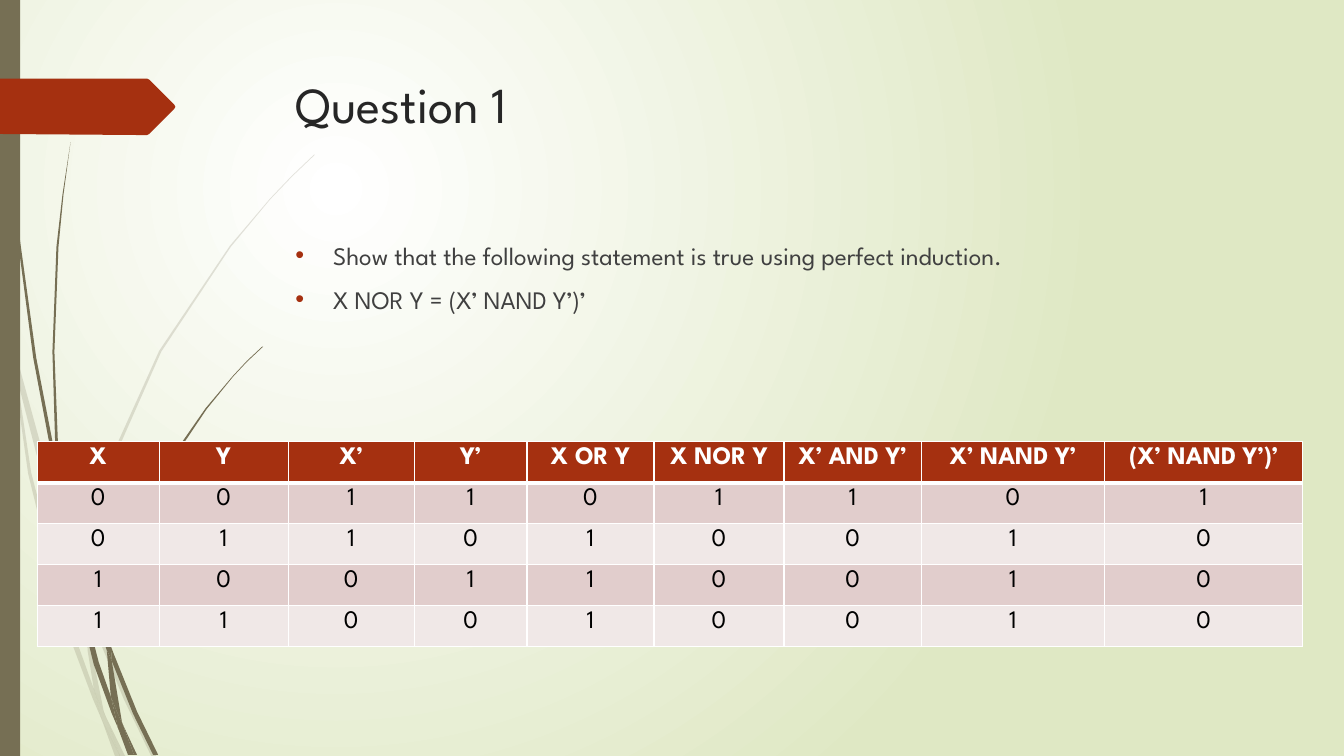
from dataclasses import dataclass
from itertools import product

from lxml.etree import SubElement
from pptx import Presentation
from pptx.dml.color import RGBColor as Rgb
from pptx.enum.shapes import MSO_SHAPE as Preset
from pptx.enum.text import PP_ALIGN as Align
from pptx.oxml.ns import qn
from pptx.util import Pt


@dataclass(frozen=True)
class Theme:
    font: str = "League Spartan"
    title_size: int = 36
    text_size: int = 18
    white: str = "FFFFFF"
    black: str = "000000"
    leaf: str = "DFE8C4"
    stem: str = "766F54"
    accent: str = "A53010"
    title: str = "262626"
    body: str = "404040"
    bands: tuple = ("E1CDCC", "F0E8E7")


THEME = Theme()
OUTLINE_UNIT = Pt(0.72)  # outlines are drawn on a grid of 1/100 inch

PALE_GRASS = [
    [(11, 350), (9, 322), (0, 282), (0, 299), (10, 344)],
    [(58, 522), (84, 599), (85, 586), (62, 520), (14, 345), (17, 376), (36, 450)],
    [(92, 607), (88, 596), (88, 610), (123, 694), (150, 750), (155, 750), (127, 692)],
    [(119, 750), (124, 750), (105, 711)],
    [(93, 683), (70, 619), (31, 469), (17, 376), (11, 350), (28, 470), (65, 621),
     (92, 693), (101, 714), (99, 707)],
    [(84, 599), (87, 646), (93, 683), (96, 692), (105, 711), (103, 706), (91, 646),
     (88, 610), (88, 608)],
    [(88, 584), (110, 462), (160, 349), (229, 245), (268, 198), (290, 175), (312, 154),
     (312, 153), (289, 175), (268, 197), (228, 244), (158, 348), (107, 461), (85, 584),
     (85, 586), (88, 596)],
    [(101, 714), (114, 750), (119, 750)],
    [(88, 608), (88, 610), (88, 596), (85, 586), (84, 599)],
    [(96, 692), (93, 683), (99, 707), (101, 714), (119, 750), (105, 711)],
]
DARK_GRASS = [
    [(7, 110), (17, 233), (33, 355), (56, 477), (57, 481), (55, 457), (55, 453),
     (36, 355), (19, 232), (8, 109), (5, 48), (4, 0), (3, 0), (4, 48)],
    [(88, 592), (106, 645), (106, 631), (93, 590), (60, 472), (64, 505)],
    [(113, 649), (110, 641), (111, 656), (132, 708), (152, 749), (157, 749), (136, 706)],
    [(110, 691), (98, 657), (72, 556), (64, 505), (57, 477), (68, 557), (93, 659),
     (111, 708), (117, 722), (116, 717)],
    [(60, 472), (58, 453), (54, 349), (58, 245), (63, 193), (70, 141), (62, 193),
     (56, 245), (52, 349), (55, 449)],
    [(133, 749), (136, 749), (122, 719)],
    [(57, 477), (64, 505), (60, 472), (55, 449), (55, 453)],
    [(111, 633), (125, 552), (158, 476), (205, 406), (231, 374), (245, 359), (261, 344),
     (260, 344), (245, 358), (231, 373), (204, 405), (156, 474), (122, 551), (106, 631),
     (110, 641)],
    [(117, 722), (127, 749), (131, 749)],
    [(106, 645), (110, 691), (116, 706), (122, 719), (121, 716), (111, 656), (109, 651)],
    [(106, 645), (109, 651), (111, 656), (110, 641), (106, 631)],
    [(116, 706), (110, 691), (116, 717), (117, 722), (130, 749), (133, 749), (122, 719)],
]
BANNER = [(0, 78), (146, 78), (148, 79), (173, 104), (174, 106), (173, 108), (148, 133),
          (146, 134), (136, 134), (0, 133)]

HEADINGS = ["X", "Y", "X’", "Y’", "X OR Y", "X NOR Y", "X’ AND Y’", "X’ NAND Y’",
            "(X’ NAND Y’)’"]
COLUMN_WIDTHS = [87.1, 92.2, 90, 80.6, 90.7, 92.9, 98, 131.2, 141.2]
ROW_HEIGHT = 29.25


def paint_background(page):
    fill = page.background.fill
    fill.gradient()
    for stop, color, place in zip(fill.gradient_stops, (THEME.white, THEME.leaf), (0, 1)):
        stop.color.rgb = Rgb.from_string(color)
        stop.position = place
    gradient = next(page.background._cSld.iter(qn("a:gradFill")))
    gradient.remove(gradient.find(qn("a:lin")))
    circle = SubElement(gradient, qn("a:path"), path="circle")
    SubElement(circle, qn("a:fillToRect"), l="50000", t="50000", r="100000", b="100000")


def paint(shape, color, opacity=100):
    shape.shadow.inherit = False
    shape.fill.solid()
    shape.fill.fore_color.rgb = Rgb.from_string(color)
    shape.line.fill.background()
    if opacity < 100:
        tint = next(shape._element.spPr.iter(qn("a:srgbClr")))
        SubElement(tint, qn("a:alpha"), val=str(opacity * 1000))


def add_outline(shapes, points, color, opacity=100):
    builder = shapes.build_freeform(*points[0], scale=OUTLINE_UNIT)
    builder.add_line_segments(points[1:], close=True)
    paint(builder.convert_to_shape(), color, opacity)


def add_grass(page, blades, opacity=100):
    group = page.shapes.add_group_shape()
    for blade in blades:
        add_outline(group.shapes, blade, THEME.stem, opacity)


def style(para, size, color, bold=False):
    para.font.name = THEME.font
    para.font.size = Pt(size)
    para.font.bold = bold
    para.font.color.rgb = Rgb.from_string(color)


def add_bullet(para):
    para.space_before = Pt(10)
    props = para._p.get_or_add_pPr()
    props.set("marL", str(Pt(27)))
    props.set("indent", str(Pt(-27)))
    tint = SubElement(props, qn("a:buClr"))
    SubElement(tint, qn("a:srgbClr"), val=THEME.accent)
    SubElement(props, qn("a:buFont"), typeface="Arial")
    SubElement(props, qn("a:buChar"), char="•")


def add_text(page, left, top, width, height, lines, size, color, bulleted=False):
    box = page.shapes.add_textbox(Pt(left), Pt(top), Pt(width), Pt(height))
    frame = box.text_frame
    frame.word_wrap = True
    frame.text = "\n".join(lines)
    for para in frame.paragraphs:
        if bulleted:
            add_bullet(para)
        style(para, size, color)


def fill_cell(cell, text, fill, color, header):
    cell.text = text
    para = cell.text_frame.paragraphs[0]
    para.alignment = Align.CENTER
    style(para, THEME.text_size, color, header)
    props = cell._tc.get_or_add_tcPr()
    for side in "LRTB":
        weight = 3 if header and side == "B" else 1
        border = SubElement(props, qn(f"a:ln{side}"), w=str(Pt(weight)))
        solid = SubElement(border, qn("a:solidFill"))
        SubElement(solid, qn("a:srgbClr"), val=THEME.white)
    cell.fill.solid()
    cell.fill.fore_color.rgb = Rgb.from_string(fill)


def truth_row(x, y):
    either, both_not = x | y, (1 - x) & (1 - y)
    return [x, y, 1 - x, 1 - y, either, 1 - either, both_not, 1 - both_not, both_not]


def add_truth_table(page, left, top):
    rows = [HEADINGS] + [truth_row(x, y) for x, y in product((0, 1), repeat=2)]
    table = page.shapes.add_table(
        len(rows), len(HEADINGS), Pt(left), Pt(top),
        Pt(sum(COLUMN_WIDTHS)), Pt(ROW_HEIGHT * len(rows))).table
    for column, width in zip(table.columns, COLUMN_WIDTHS):
        column.width = Pt(width)
    for r, values in enumerate(rows):
        table.rows[r].height = Pt(ROW_HEIGHT)
        header = r == 0
        fill = THEME.accent if header else THEME.bands[(r - 1) % 2]
        color = THEME.white if header else THEME.black
        for c, value in enumerate(values):
            fill_cell(table.cell(r, c), str(value), fill, color, header)


def main():
    deck = Presentation()
    deck.slide_width, deck.slide_height = Pt(960), Pt(540)
    page = deck.slides.add_slide(deck.slide_layouts[6])

    # Backdrop: grass, side bar and banner
    paint_background(page)
    add_grass(page, PALE_GRASS, opacity=20)
    add_grass(page, DARK_GRASS)
    bar = page.shapes.add_shape(Preset.RECTANGLE, Pt(0), Pt(0), Pt(14.4), Pt(540))
    paint(bar, THEME.stem)
    add_outline(page.shapes, BANNER, THEME.accent)

    # Question
    add_text(page, 204.2, 49, 702, 100.8, ["Question 1"], THEME.title_size, THEME.title)
    add_text(page, 203.8, 167.8, 702, 297.4,
             ["Show that the following statement is true using perfect induction.",
              "X NOR Y = (X’ NAND Y’)’"],
             THEME.text_size, THEME.body, bulleted=True)

    # Proof by truth table
    add_truth_table(page, 26.6, 315.6)
    deck.save("out.pptx")


if __name__ == "__main__":
    main()
